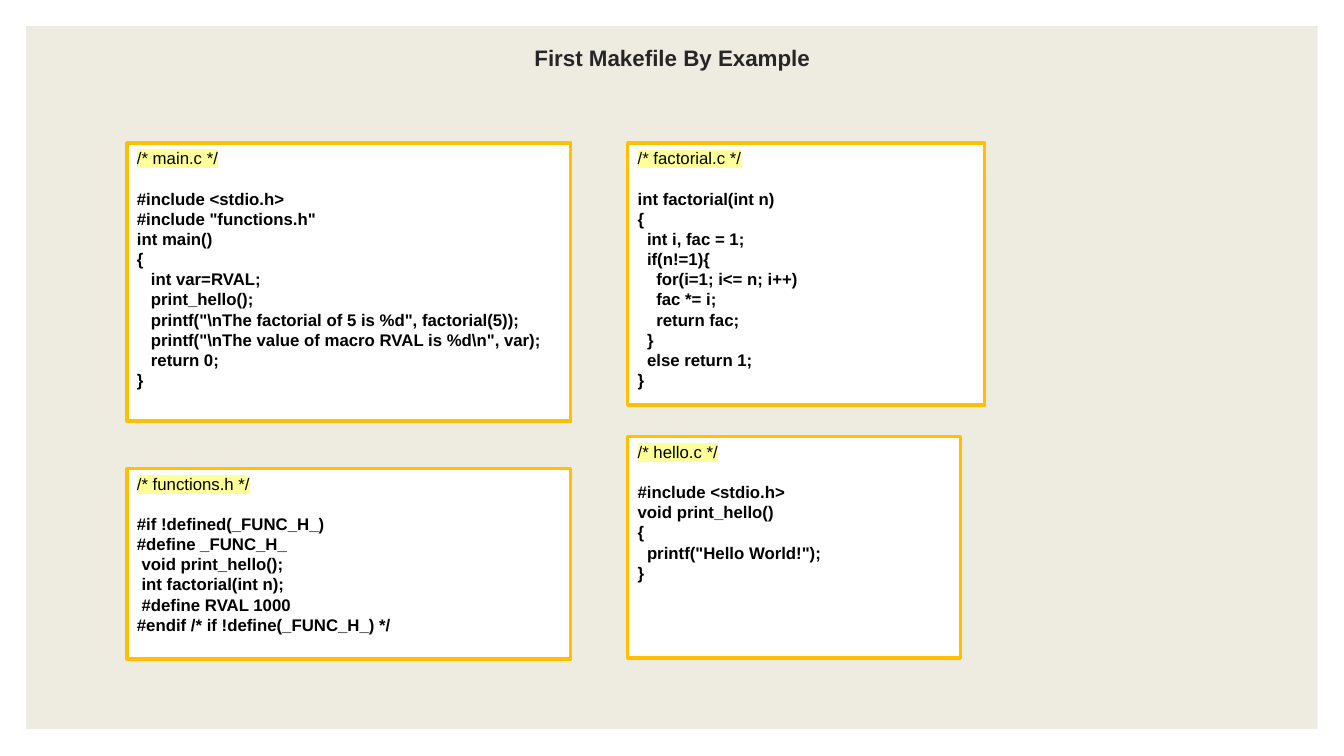
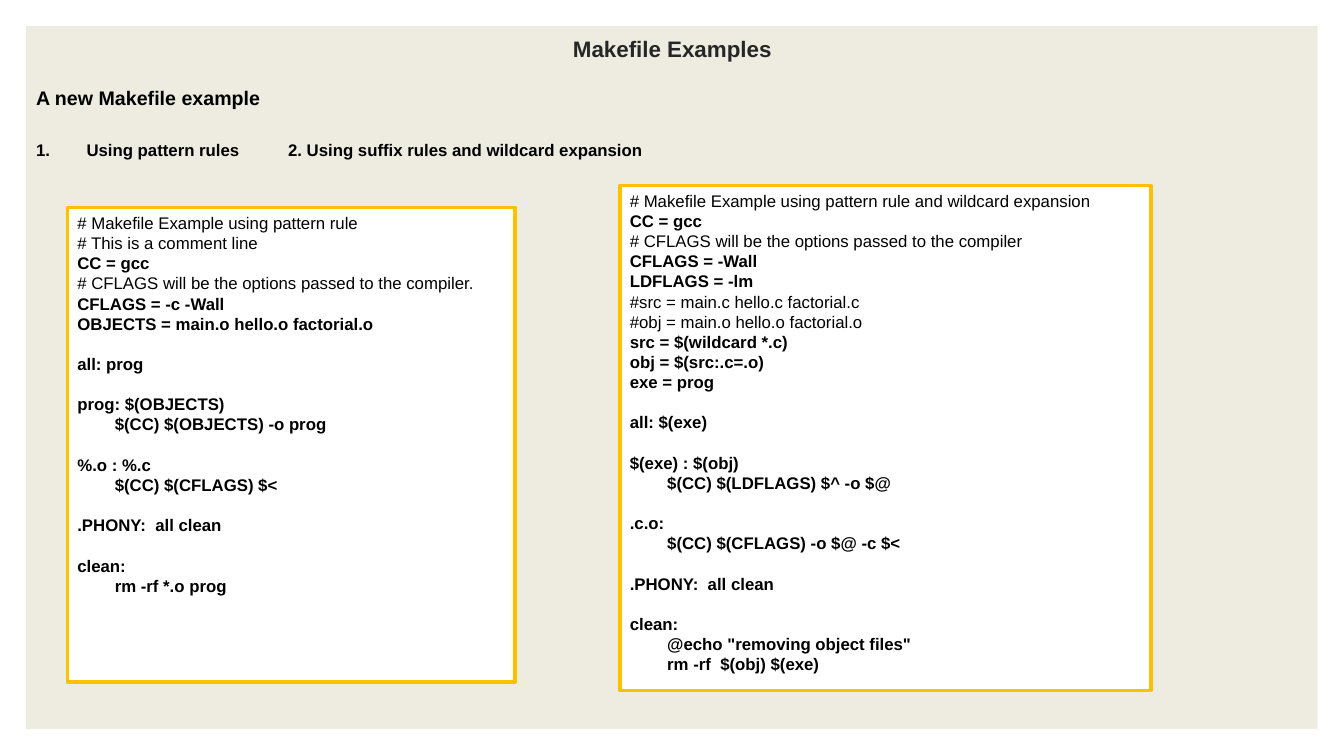
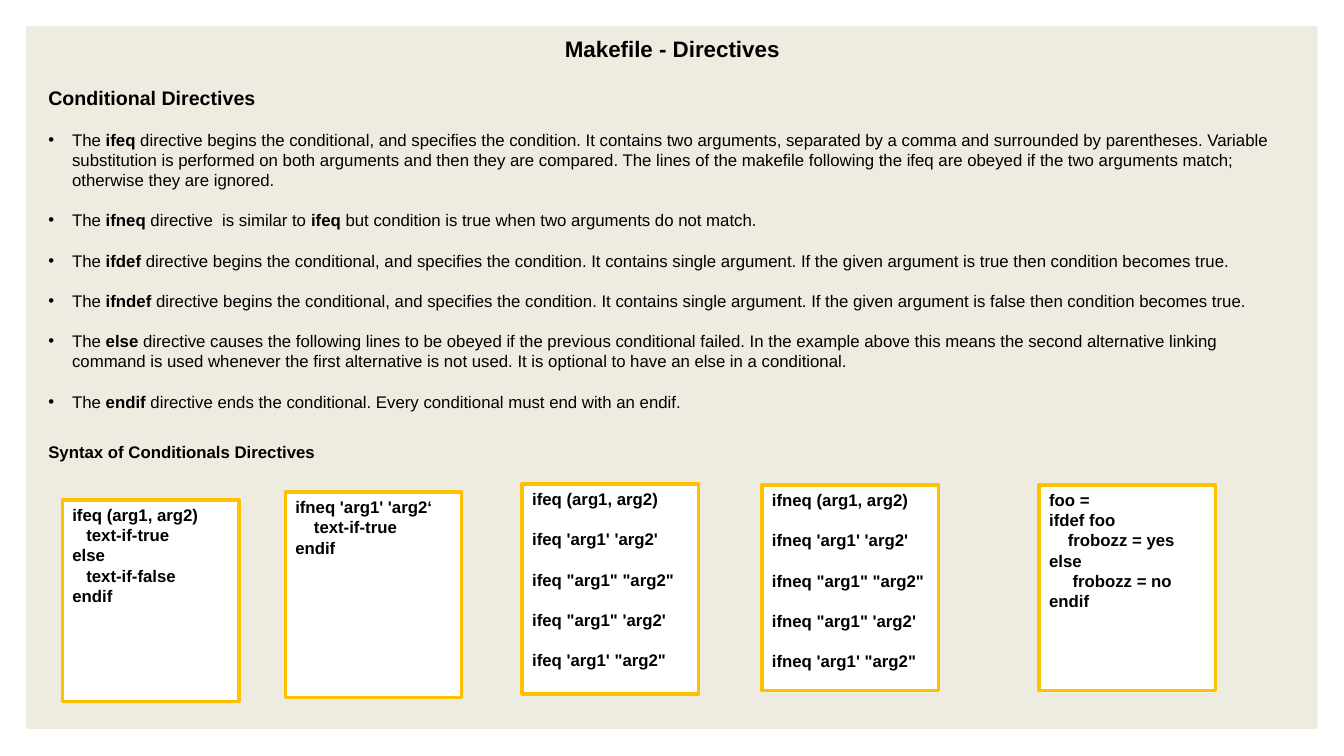
from lxml import etree
from pptx import Presentation
from pptx.dml.color import RGBColor
from pptx.enum.shapes import MSO_SHAPE as SHAPE
from pptx.enum.text import MSO_ANCHOR as ANCHOR, PP_ALIGN as ALIGN
from pptx.oxml.ns import qn
from pptx.util import Pt

rgb = RGBColor.from_string
BLACK, DARK, WHITE = "000000", "262626", "FFFFFF"
BAND, GOLD, YELLOW = "EEECE1", "FFC000", "FFFF99"
LEAD = 1.2    # line height per point of text size
SPACE = 3.34  # width of one space at 12 pt


def write(frame, rows):
    """Each row: runs as (text, bold, marked), plus optional format values."""
    frame.word_wrap = True
    for i, row in enumerate(rows):
        para = frame.paragraphs[0] if i == 0 else frame.add_paragraph()
        size = row.get("size", 12)
        looks = {"alignment": row.get("align", ALIGN.LEFT),
                 "line_spacing": Pt(size * LEAD),
                 "space_before": Pt(row.get("gap", 0)),
                 "space_after": Pt(0)}
        for name, value in looks.items():
            setattr(para, name, value)
        props = para._p.get_or_add_pPr()
        left = row.get("left", 0)
        hang = row.get("hang", 0)
        props.set("marL", str(Pt(left)))
        props.set("indent", str(Pt(-hang)))
        if hang:
            etree.SubElement(props, qn("a:buFont"), typeface="Arial")
            etree.SubElement(props, qn("a:buChar"), char="•")
        if "tabs" in row:
            stops = etree.SubElement(props, qn("a:tabLst"))
            for stop in row["tabs"]:
                etree.SubElement(stops, qn("a:tab"), pos=str(Pt(stop)), algn="l")
        for text, bold, marked in row["runs"]:
            run = para.add_run()
            run.text = text
            for name, value in {"name": "Arial", "size": Pt(size), "bold": bold}.items():
                setattr(run.font, name, value)
            run.font.color.rgb = rgb(row.get("color", BLACK))
            if marked:
                light = etree.Element(qn("a:highlight"))
                etree.SubElement(light, qn("a:srgbClr"), val=YELLOW)
                run._r.rPr.find(qn("a:latin")).addprevious(light)


def code(slide, place, text):
    """Framed listing: blank lines become gaps, leading spaces become indents."""
    box = slide.shapes.add_shape(SHAPE.RECTANGLE, *map(Pt, place))
    box.shadow.inherit = False
    box.fill.solid()
    box.fill.fore_color.rgb = rgb(WHITE)
    box.line.color.rgb = rgb(GOLD)
    box.line.width = Pt(2.5)
    box.text_frame.vertical_anchor = ANCHOR.TOP
    rows, gap = [], 0
    for line in text.strip("\n").split("\n"):
        bare = line.lstrip()
        if not bare:
            gap += 12 * LEAD
            continue
        marked = bare.startswith("/*")
        plain = marked or bare.startswith(("# ", "#src", "#obj"))
        rows.append({"runs": [(bare, not plain, marked)], "gap": gap,
                     "left": (len(line) - len(bare)) * SPACE})
        gap = 0
    write(box.text_frame, rows)


deck = Presentation()
deck.slide_width, deck.slide_height = Pt(960), Pt(540)

# Slides with their titles
slides = []
for title, high, color in [("First Makefile By Example", 45.4, DARK),
                           ("Makefile Examples", 31.7, DARK),
                           ("Makefile - Directives", 31.7, BLACK)]:
    slide = deck.slides.add_slide(deck.slide_layouts[5])
    head = slide.shapes.title
    head.left, head.top, head.width, head.height = map(Pt, (18.7, 18.7, 923, high))
    head.text_frame.vertical_anchor = ANCHOR.MIDDLE
    write(head.text_frame, [{"runs": [(title, True, False)], "size": 16,
                             "color": color, "align": ALIGN.CENTER}])
    slides.append(slide)
first, second, third = slides

# Shared band, kept on the master behind everything
band = first.shapes.add_shape(SHAPE.RECTANGLE, Pt(18.7), Pt(18.7), Pt(922.5), Pt(502))
band.shadow.inherit = False
band.fill.solid()
band.fill.fore_color.rgb = rgb(BAND)
band.line.fill.background()
deck.slide_master.shapes.element.insert(2, band.element)

# Slide 1: source files
code(first, (90.7, 102.2, 317, 198.7), r'''
/* main.c */

#include <stdio.h>
#include "functions.h"
int main()
{
   int var=RVAL;
   print_hello();
   printf("\nThe factorial of 5 is %d", factorial(5));
   printf("\nThe value of macro RVAL is %d\n", var);
   return 0;
}
''')
code(first, (90.7, 334.6, 317, 136), '''
/* functions.h */

#if !defined(_FUNC_H_)
#define _FUNC_H_
 void print_hello();
 int factorial(int n);
 #define RVAL 1000
#endif /* if !define(_FUNC_H_) */
''')
code(first, (448.4, 102.2, 255, 187), '''
/* factorial.c */

int factorial(int n)
{
  int i, fac = 1;
  if(n!=1){
    for(i=1; i<= n; i++)
    fac *= i;
    return fac;
  }
  else return 1;
}
''')
code(first, (448.4, 311.8, 237.6, 158.4), '''
/* hello.c */

#include <stdio.h>
void print_hello()
{
  printf("Hello World!");
}
''')

# Slide 2: two makefiles
body = second.shapes.add_textbox(*map(Pt, (18.7, 57.6, 923, 463.7)))
write(body.text_frame, [
    {"runs": [("A new Makefile example", True, False)], "size": 14},
    {"runs": [("1.\tUsing pattern rules\t2. Using suffix rules and wildcard expansion",
               True, False)], "gap": 18 * LEAD, "tabs": (26.6, 424.8)}])
code(second, (48.2, 148.3, 319.7, 339), '''
# Makefile Example using pattern rule
# This is a comment line
CC = gcc
# CFLAGS will be the options passed to the compiler.
CFLAGS = -c -Wall
OBJECTS = main.o hello.o factorial.o

all: prog

prog: $(OBJECTS)
        $(CC) $(OBJECTS) -o prog

%.o : %.c
        $(CC) $(CFLAGS) $<

.PHONY:  all clean

clean:
        rm -rf *.o prog
''')
code(second, (442.8, 132.5, 379.4, 360.7), '''
# Makefile Example using pattern rule and wildcard expansion
CC = gcc
# CFLAGS will be the options passed to the compiler
CFLAGS = -Wall
LDFLAGS = -lm
#src = main.c hello.c factorial.c
#obj = main.o hello.o factorial.o
src = $(wildcard *.c)
obj = $(src:.c=.o)
exe = prog

all: $(exe)

$(exe) : $(obj)
        $(CC) $(LDFLAGS) $^ -o $@

.c.o:
        $(CC) $(CFLAGS) -o $@ -c $<

.PHONY:  all clean

clean:
        @echo "removing object files"
        rm -rf  $(obj) $(exe)
''')

# Slide 3: directives, with bold words between bars
points = [
    "The |ifeq| directive begins the conditional, and specifies the condition. It contains "
    "two arguments, separated by a comma and surrounded by parentheses. Variable "
    "substitution is performed on both arguments and then they are compared. The lines of "
    "the makefile following the ifeq are obeyed if the two arguments match; otherwise they "
    "are ignored.",
    "The |ifneq| directive  is similar to| ifeq |but condition is true when two arguments "
    "do not match.",
    "The |ifdef| directive begins the conditional, and specifies the condition. It contains "
    "single argument. If the given argument is true then condition becomes true.",
    "The |ifndef| directive begins the conditional, and specifies the condition. It contains "
    "single argument. If the given argument is false then condition becomes true.",
    "The |else| directive causes the following lines to be obeyed if the previous "
    "conditional failed. In the example above this means the second alternative linking "
    "command is used whenever the first alternative is not used. It is optional to have an "
    "else in a conditional.",
    "The |endif| directive ends the conditional. Every conditional must end with an endif.",
]
rows = [{"runs": [("Conditional Directives", True, False)], "size": 14}]
for point in points:
    runs = [(part, i % 2 == 1, False) for i, part in enumerate(point.split("|"))]
    rows.append({"runs": runs, "gap": 12 * LEAD, "left": 17, "hang": 17})
rows.append({"runs": [("Syntax of Conditionals Directives", True, False)],
             "gap": 18 * LEAD})
body = third.shapes.add_textbox(*map(Pt, (27.4, 57.6, 905.8, 463.7)))
write(body.text_frame, rows)

# Slide 3: syntax boxes
forms = ["(arg1, arg2)", "'arg1' 'arg2'", '"arg1" "arg2"', '"arg1" \'arg2\'',
         '\'arg1\' "arg2"']
equal, differ = ("\n\n".join(f"{word} {form}" for form in forms)
                 for word in ("ifeq", "ifneq"))
branch = '''
ifeq (arg1, arg2)
   text-if-true
else
   text-if-false
endif
'''
single = '''
ifneq 'arg1' 'arg2‘
    text-if-true
endif
'''
defined = '''
foo =
ifdef foo
    frobozz = yes
else
     frobozz = no
endif
'''
for left, top, high, text in [(44.6, 357.1, 144, branch), (203.8, 351.4, 147, single),
                              (373, 345.6, 150, equal), (544.3, 346.3, 147, differ),
                              (742.3, 346.3, 147, defined)]:
    code(third, (left, top, 126, high), text)

deck.save("out.pptx")
